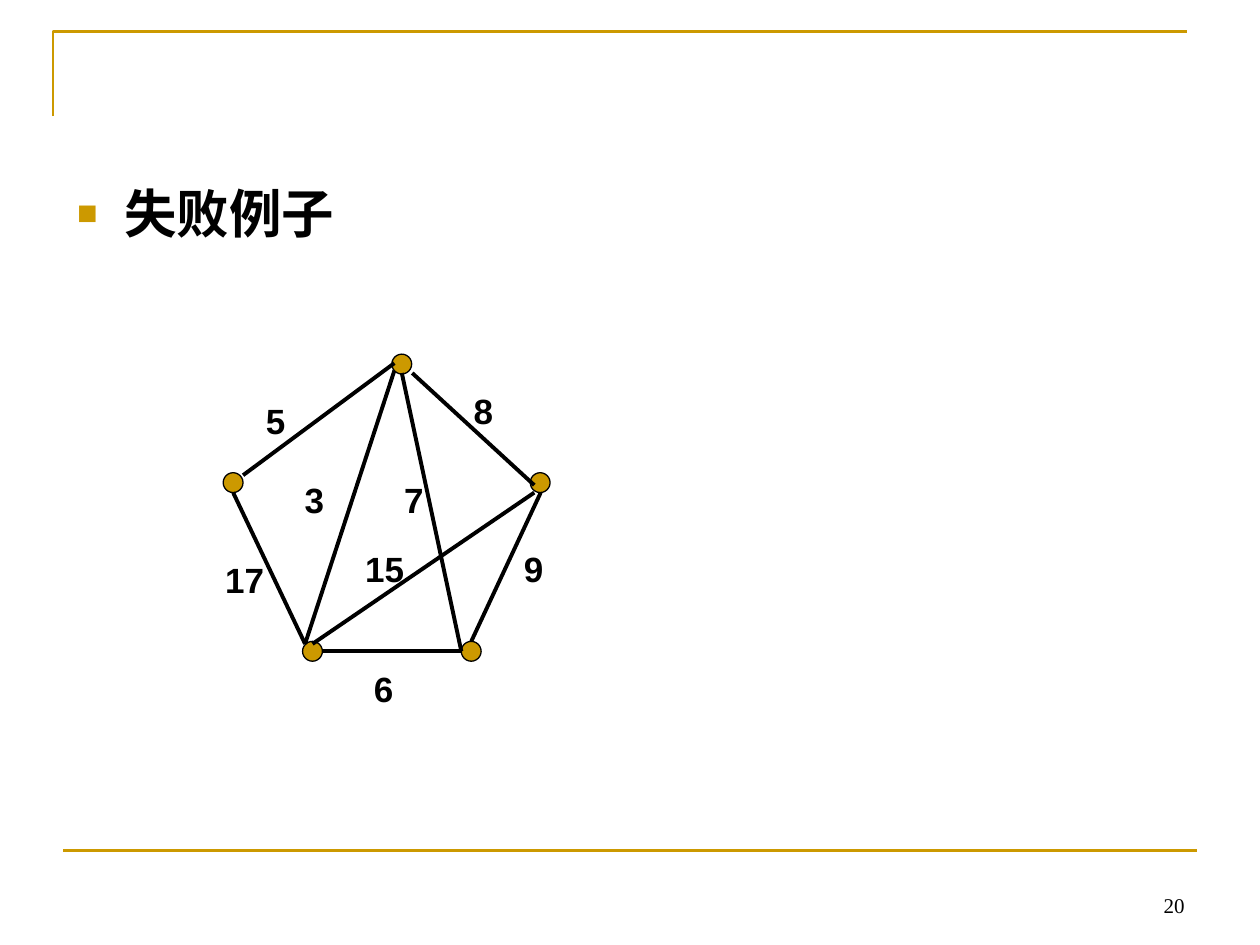
from lxml import etree
from pptx import Presentation
from pptx import util as u
from pptx.dml.color import RGBColor
from pptx.enum import shapes, text
from pptx.oxml.ns import qn

COLORS = {"gold": "CC9900", "black": "000000"}


def write(paragraph, words, size, font="Arial", bold=True):
    run = paragraph.add_run()
    run.text = words
    run.font.size = u.Pt(size)
    run.font.name = font
    run.font.bold = bold
    run.font.color.rgb = RGBColor.from_string(COLORS["black"])


def draw_line(start, end, color, width):
    line = slide.shapes.add_connector(
        shapes.MSO_CONNECTOR.STRAIGHT, *[u.Cm(v) for v in (*start, *end)])
    line.line.color.rgb = RGBColor.from_string(COLORS[color])
    line.line.width = u.Pt(width)
    etree.SubElement(line._element.spPr, qn("a:effectLst"))


prs = Presentation()
prs.slide_width, prs.slide_height = u.Cm(25.4), u.Cm(19.05)
slide = prs.slides.add_slide(prs.slide_layouts[1])
title = slide.shapes.title
title._element.getparent().remove(title._element)

# Frame: corner at the top, rule at the bottom
builder = slide.shapes.build_freeform(u.Cm(1.07), u.Cm(2.34))
builder.add_line_segments(
    [(u.Cm(1.07), u.Cm(0.63)), (u.Cm(23.93), u.Cm(0.63))], close=False)
corner = builder.convert_to_shape()
corner.shadow.inherit = False
corner.fill.background()
corner.line.color.rgb = RGBColor.from_string(COLORS["gold"])
corner.line.width = u.Pt(1.5)
draw_line((1.27, 17.15), (24.13, 17.15), "gold", 1.5)

# Heading bullet
body = slide.placeholders[1]
body.left, body.top, body.width, body.height = (
    u.Cm(v) for v in (1.3, 3.53, 22.86, 13.51))
body.text_frame.auto_size = text.MSO_AUTO_SIZE.NONE
heading = body.text_frame.paragraphs[0]
heading.space_before = u.Pt(7.5)
write(heading, "失败例子", 30)
props = heading._p.get_or_add_pPr()
props.set("marL", str(u.Cm(0.95)))
props.set("indent", str(-u.Cm(0.95)))
bullet_color = etree.SubElement(props, qn("a:buClr"))
etree.SubElement(bullet_color, qn("a:srgbClr"), val=COLORS["gold"])
etree.SubElement(props, qn("a:buSzPct"), val="65000")
etree.SubElement(props, qn("a:buFont"), typeface="Arial")
etree.SubElement(props, qn("a:buChar"), char="■")

# Graph nodes
NODE = 0.4
for left, top in [(7.9, 7.14), (4.5, 9.53), (6.1, 12.93), (9.3, 12.93), (10.69, 9.53)]:
    node = slide.shapes.add_shape(
        shapes.MSO_SHAPE.OVAL, u.Cm(left), u.Cm(top), u.Cm(NODE), u.Cm(NODE))
    node.shadow.inherit = False
    node.fill.solid()
    node.fill.fore_color.rgb = RGBColor.from_string(COLORS["gold"])
    node.line.color.rgb = RGBColor.from_string(COLORS["black"])
    node.line.width = u.Pt(0.75)

# Graph edges: weight, start, end, top left of the weight label
edges = [
    (5, (7.95, 7.32), (4.9, 9.58), (5.11, 7.92)),
    (17, (4.7, 9.93), (6.15, 12.98), (4.29, 11.13)),
    (6, (6.5, 13.13), (9.3, 13.13), (7.29, 13.34)),
    (9, (9.5, 12.93), (10.9, 9.93), (10.31, 10.92)),
    (8, (8.31, 7.52), (10.77, 9.78), (9.3, 7.72)),
    (3, (7.95, 7.47), (6.15, 12.98), (5.89, 9.53)),
    (7, (8.1, 7.52), (9.3, 13.13), (7.9, 9.53)),
    (15, (6.3, 12.98), (10.77, 9.93), (7.11, 10.92)),
]
for weight, start, end, (left, top) in edges:
    draw_line(start, end, "black", 2.25)
    width = 1.4 if weight > 9 else 1
    label = slide.shapes.add_textbox(u.Cm(left), u.Cm(top), u.Cm(width), u.Cm(1.12))
    label.text_frame.word_wrap = False
    write(label.text_frame.paragraphs[0], str(weight), 20)

# Page number
page = slide.shapes.add_textbox(u.Cm(18.2), u.Cm(17.35), u.Cm(5.93), u.Cm(1.27))
page.text_frame.word_wrap = True
page.text_frame.vertical_anchor = text.MSO_ANCHOR.BOTTOM
page_line = page.text_frame.paragraphs[0]
page_line.alignment = text.PP_ALIGN.RIGHT
write(page_line, "20", 12, "Times New Roman", False)

prs.save("out.pptx")
